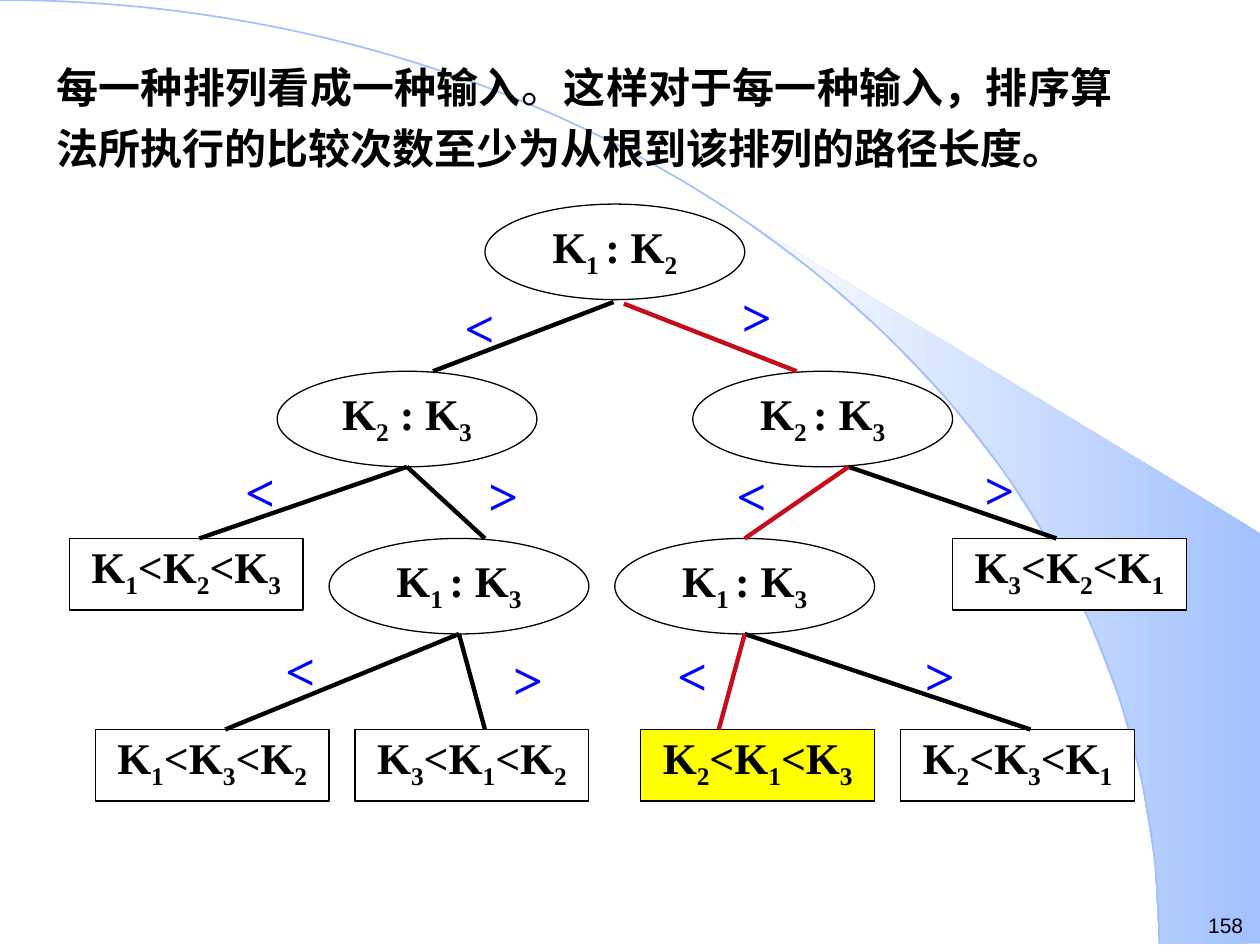
from dataclasses import dataclass
from math import cos, radians, sin

from lxml import etree
from pptx import Presentation
from pptx.dml.color import RGBColor
from pptx.enum.shapes import MSO_CONNECTOR, MSO_SHAPE
from pptx.enum.text import MSO_ANCHOR, PP_ALIGN
from pptx.oxml.ns import qn
from pptx.util import Inches, Pt

ARC, OVAL, RECTANGLE = MSO_SHAPE.ARC, MSO_SHAPE.OVAL, MSO_SHAPE.RECTANGLE
STRAIGHT = MSO_CONNECTOR.STRAIGHT
TOP = MSO_ANCHOR.TOP
LEFT, CENTER, JUSTIFY = PP_ALIGN.LEFT, PP_ALIGN.CENTER, PP_ALIGN.JUSTIFY

WIDTH, HEIGHT = 10, 7.5
TREE_LEFT, TREE_TOP = 0.55, 1.62
COLUMN, ROW = 7.01 / 34, 4.17 / 22
ARC_WIDTH, ARC_HEIGHT = 9.2, 7.49


@dataclass(frozen=True)
class Theme:
    ink: str = "000000"
    paper: str = "FFFFFF"
    sky: str = "A2C1FE"
    haze: str = "FEFEFE"
    route: str = "C60C19"
    result: str = "FFFF00"
    sign: str = "0000FF"
    serif: str = "Times New Roman"
    sans: str = "Arial"
    heading_size: float = 24
    node_size: float = 25
    sign_size: float = 30
    number_size: float = 12
    outline: float = 0.75
    curve: float = 1
    edge: float = 2.5


THEME = Theme()

COMPARISONS = [
    (16, 0, "K|1 |: K|2"),
    (8, 7, "K|2| : K|3"),
    (24, 7, "K|2 |: K|3"),
    (10, 14, "K|1 |: K|3"),
    (21, 14, "K|1 |: K|3"),
]
ORDERINGS = [
    (0, 14, "123"), (34, 14, "321"),
    (1, 22, "132"), (11, 22, "312"), (22, 22, "213"), (32, 22, "231"),
]
CHOSEN = "213"
EDGES = [
    (20.95, 4.1, 14, 7), (13, 11, 5, 14), (13, 11, 16, 14),
    (30, 11, 38, 14), (15, 18, 6, 22), (15, 18, 16, 22), (26, 18, 37, 22),
]
ROUTE = [(21.35, 4.17, 28, 7), (30, 11, 26, 14), (26, 18, 25, 22)]
SIGNS = {
    "<": [(13.78, 3.53), (5.33, 10.4), (6.88, 17.9), (24.25, 10.6), (21.97, 18.1)],
    ">": [(24.45, 3.1), (33.8, 10.35), (31.5, 18.1), (15.65, 18.3), (14.7, 10.6)],
}


def colour(value):
    return RGBColor.from_string(value)


def grid(column, row):
    return Inches(TREE_LEFT + column * COLUMN), Inches(TREE_TOP + row * ROW)


def style(font, size, name=THEME.serif, tint=THEME.ink, bold=True):
    font.size = Pt(size)
    font.name = name
    font.bold = bold
    font.color.rgb = colour(tint)


def add_span(para, text, size, bold=True):
    span = para.add_run()
    span.text = text
    style(span.font, size, bold=bold)
    return span


def add_box(page, left, top, width, height, align):
    box = page.shapes.add_textbox(left, top, Inches(width), Inches(height))
    box.text_frame.word_wrap = True
    para = box.text_frame.paragraphs[0]
    para.alignment = align
    return para


def add_wedge(page):
    rim = [
        (ARC_WIDTH * sin(radians(angle)), ARC_HEIGHT * (1 - cos(radians(angle))))
        for angle in range(40, 91, 5)
    ]
    corners = [(WIDTH, ARC_HEIGHT), (WIDTH, 4.23)]
    points = [(Inches(x), Inches(y)) for x, y in rim + corners]
    builder = page.shapes.build_freeform(*points[0])
    builder.add_line_segments(points[1:])
    wedge = builder.convert_to_shape()
    wedge.shadow.inherit = False
    wedge.line.fill.background()
    wedge.fill.gradient()
    wedge.fill.gradient_angle = 180
    for stop, tint in zip(wedge.fill.gradient_stops, (THEME.sky, THEME.haze)):
        stop.color.rgb = colour(tint)


def add_curve(page):
    curve = page.shapes.add_shape(
        ARC, Inches(-ARC_WIDTH), 0, Inches(2 * ARC_WIDTH), Inches(2 * ARC_HEIGHT)
    )
    curve.shadow.inherit = False
    curve.fill.background()
    curve.line.color.rgb = colour(THEME.sky)
    curve.line.width = Pt(THEME.curve)


def add_heading(page):
    para = add_box(page, Inches(0.35), Inches(0.36), 8.58, 1.06, JUSTIFY)
    para.line_spacing = 1.2
    for text, bold in (
        ("每一种排列看成一种输入", True),
        ("。", False),
        ("这样对于每一种输入，排序算法所执行的比较次数至少为从根到该排列的路径长度。", True),
    ):
        add_span(para, text, THEME.heading_size, bold)


def add_node(page, kind, column, row, columns, rows, label, fill=THEME.paper):
    node = page.shapes.add_shape(
        kind, *grid(column, row), Inches(columns * COLUMN), Inches(rows * ROW)
    )
    node.shadow.inherit = False
    node.fill.solid()
    node.fill.fore_color.rgb = colour(fill)
    node.line.color.rgb = colour(THEME.ink)
    node.line.width = Pt(THEME.outline)
    frame = node.text_frame
    frame.word_wrap = True
    frame.vertical_anchor = TOP
    frame.margin_left = frame.margin_right = Inches(0.02)
    frame.margin_top = frame.margin_bottom = Inches(0.01)
    para = frame.paragraphs[0]
    para.alignment = CENTER
    for index, text in enumerate(label.split("|")):
        span = add_span(para, text, THEME.node_size)
        if index % 2:
            span.font._element.set("baseline", "-25000")


def add_edge(page, start_column, start_row, end_column, end_row, tint):
    edge = page.shapes.add_connector(
        STRAIGHT, *grid(start_column, start_row), *grid(end_column, end_row)
    )
    edge.line.color.rgb = colour(tint)
    edge.line.width = Pt(THEME.edge)
    etree.SubElement(edge._element.spPr, qn("a:effectLst"))


def add_sign(page, column, row, text):
    para = add_box(page, *grid(column, row), 0.83, 0.6, CENTER)
    para.text = text
    style(para.runs[0].font, THEME.sign_size, tint=THEME.sign)


def add_page_number(page):
    para = add_box(page, Inches(9.49), Inches(7.19), 0.51, 0.3, LEFT)
    para.text = "158"
    style(para.runs[0].font, THEME.number_size, THEME.sans, bold=False)


def main():
    deck = Presentation()
    deck.slide_width, deck.slide_height = Inches(WIDTH), Inches(HEIGHT)
    page = deck.slides.add_slide(deck.slide_layouts[6])
    add_wedge(page)
    add_curve(page)
    add_page_number(page)
    add_heading(page)
    for column, row, label in COMPARISONS:
        add_node(page, OVAL, column, row, 10, 4, label)
    for column, row, order in ORDERINGS:
        label = "|<".join(f"K|{key}" for key in order)
        fill = THEME.result if order == CHOSEN else THEME.paper
        add_node(page, RECTANGLE, column, row, 9, 3, label, fill)
    for edges, tint in ((EDGES, THEME.ink), (ROUTE, THEME.route)):
        for ends in edges:
            add_edge(page, *ends, tint)
    for text, places in SIGNS.items():
        for column, row in places:
            add_sign(page, column, row, text)
    deck.save("out.pptx")


if __name__ == "__main__":
    main()
